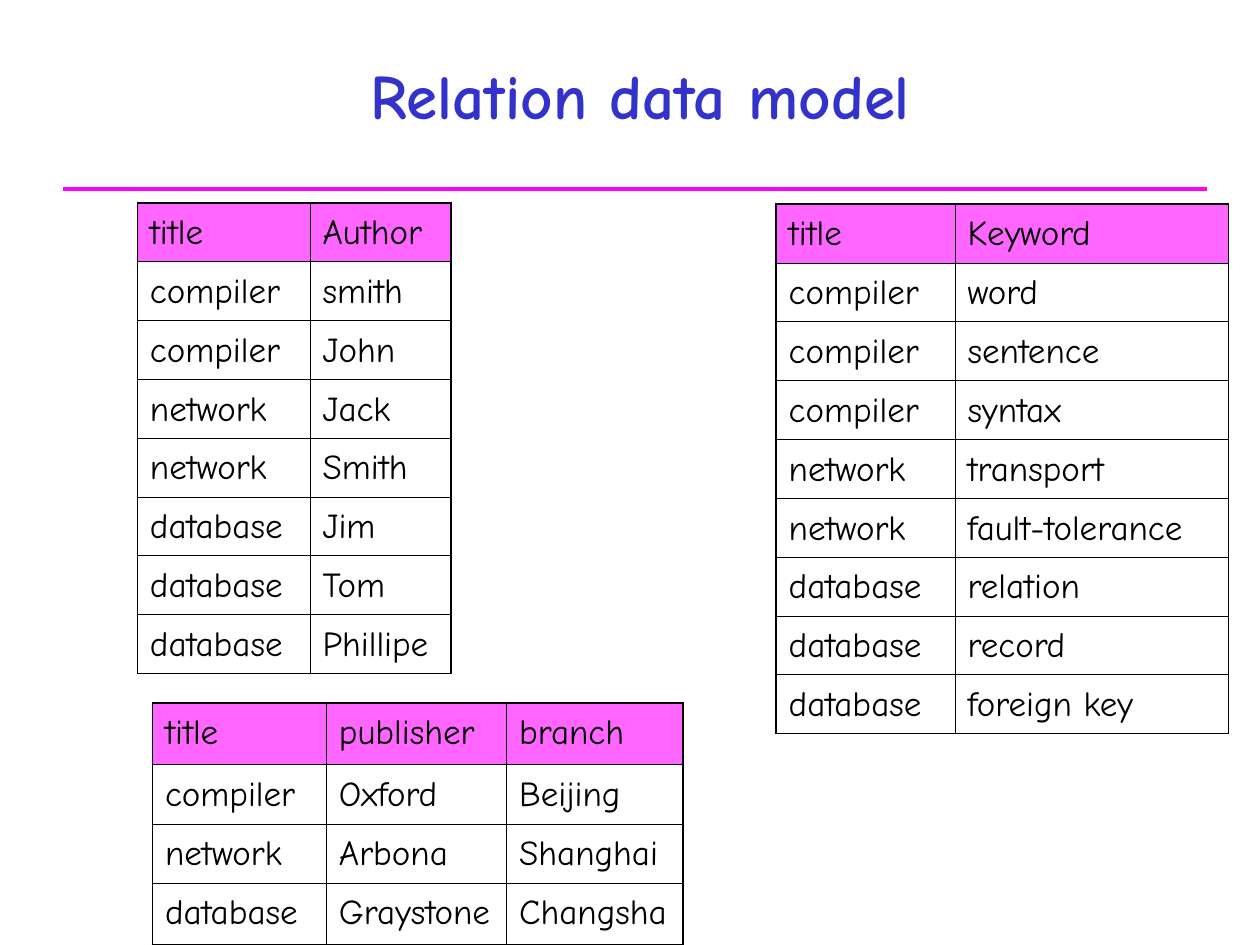
from lxml import etree
from pptx import Presentation
from pptx.dml.color import RGBColor
from pptx.enum.shapes import MSO_CONNECTOR
from pptx.enum.text import MSO_ANCHOR, PP_ALIGN
from pptx.oxml.ns import qn
from pptx.util import Inches, Pt

STRAIGHT = MSO_CONNECTOR.STRAIGHT
MIDDLE = MSO_ANCHOR.MIDDLE
CENTER = PP_ALIGN.CENTER

BLUE = RGBColor(0x33, 0x33, 0xCC)
MAGENTA = RGBColor(0xFF, 0x00, 0xFF)
PINK = RGBColor(0xFF, 0x66, 0xFF)
BLACK = RGBColor(0x00, 0x00, 0x00)
FONT = "Comic Neue"
OUTER, INNER = Pt(1.08), Pt(0.45)


def style_text(paragraph, size, color, bold=False):
    font = paragraph.runs[0].font
    font.name, font.size, font.bold = FONT, Pt(size), bold
    font.color.rgb = color


def set_borders(cell, widths):
    """Draw the left, right, top and bottom borders of a cell."""
    properties = cell._tc.get_or_add_tcPr()
    for i, (tag, width) in enumerate(zip(("a:lnL", "a:lnR", "a:lnT", "a:lnB"), widths)):
        border = etree.Element(qn(tag), w=str(width))
        fill = etree.SubElement(border, qn("a:solidFill"))
        etree.SubElement(fill, qn("a:srgbClr"), val=str(BLACK))
        properties.insert(i, border)


prs = Presentation()
prs.slide_width, prs.slide_height = Inches(10), Inches(7.5)
slide = prs.slides.add_slide(prs.slide_layouts[6])

# Rule under the title
rule = slide.shapes.add_connector(STRAIGHT, Inches(0.5), Inches(1.5), Inches(9.58), Inches(1.5))
rule.line.color.rgb = MAGENTA
rule.line.width = Pt(2)
etree.SubElement(rule._element.spPr, qn("a:effectLst"))

# Title
title = slide.shapes.add_textbox(Inches(0.83), Inches(0.25), Inches(8.5), Inches(1))
title.text_frame.word_wrap = True
title.text_frame.vertical_anchor = MIDDLE
title.text_frame.text = "Relation data model"
heading = title.text_frame.paragraphs[0]
heading.alignment = CENTER
style_text(heading, 36, BLUE, bold=True)

# Relations: left, top, column widths, row heights, rows with the header first
relations = [
    (1.21, 5.58, [1.38, 1.43, 1.4], [0.49, 0.47, 0.47, 0.49], [
        ("title", "publisher", "branch"),
        ("compiler", "Oxford", "Beijing"),
        ("network", "Arbona", "Shanghai"),
        ("database", "Graystone", "Changsha"),
    ]),
    (1.09, 1.61, [1.37, 1.12], [3.73 / 8] * 8, [
        ("title", "Author"),
        ("compiler", "smith"),
        ("compiler", "John"),
        ("network", "Jack"),
        ("network", "Smith"),
        ("database", "Jim"),
        ("database", "Tom"),
        ("database", "Phillipe"),
    ]),
    (6.16, 1.62, [1.42, 2.17], [4.2 / 9] * 9, [
        ("title", "Keyword"),
        ("compiler", "word"),
        ("compiler", "sentence"),
        ("compiler", "syntax"),
        ("network", "transport"),
        ("network", "fault-tolerance"),
        ("database", "relation"),
        ("database", "record"),
        ("database", "foreign key"),
    ]),
]

for left, top, widths, heights, rows in relations:
    table = slide.shapes.add_table(
        len(rows), len(widths), Inches(left), Inches(top),
        Inches(sum(widths)), Inches(sum(heights))).table
    table.horz_banding = False
    for column, width in zip(table.columns, widths):
        column.width = Inches(width)
    for row, height in zip(table.rows, heights):
        row.height = Inches(height)

    last_row, last_column = len(rows) - 1, len(widths) - 1
    for r, values in enumerate(rows):
        for c, value in enumerate(values):
            cell = table.cell(r, c)
            cell.text_frame.text = value
            paragraph = cell.text_frame.paragraphs[0]
            paragraph.line_spacing = 1.1
            style_text(paragraph, 20, BLACK)
            if r == 0:
                cell.fill.solid()
                cell.fill.fore_color.rgb = PINK
            else:
                cell.fill.background()
            on_edge = (c == 0, c == last_column, r == 0, r == last_row)
            set_borders(cell, [OUTER if edge else INNER for edge in on_edge])

prs.save("out.pptx")
